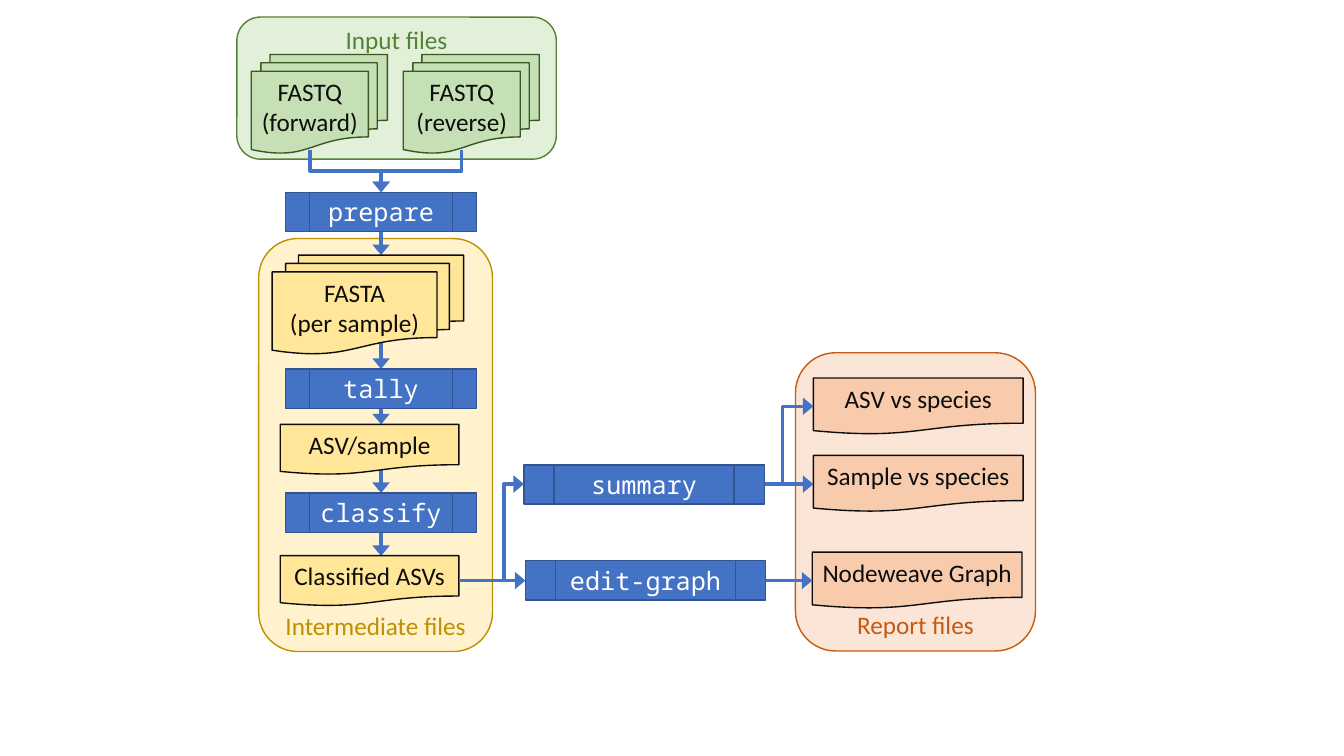
from lxml.etree import SubElement
from pptx import Presentation
from pptx.dml.color import RGBColor
from pptx.enum.shapes import MSO_CONNECTOR, MSO_SHAPE
from pptx.enum.text import MSO_ANCHOR, PP_ALIGN
from pptx.oxml.ns import qn
from pptx.util import Pt

COLORS = {
    "ink": "0D0D0D", "white": "FFFFFF",
    "step": "4472C4", "step_line": "325491",
    "input_panel": "E2F0D9", "input_text": "548235",
    "input_file": "C5E0B4", "input_line": "385723",
    "middle_panel": "FFF2CC", "middle_text": "BF9000", "middle_file": "FFE699",
    "report_panel": "FBE5D6", "report_text": "C55A11", "report_file": "F8CBAD",
}
BODY_FONT = "Calibri"
CODE_FONT = "Noto Sans Mono"
FLOW_X = 272.2
STEP_HEIGHT = 28
SUMMARY_Y = 345.8
GRAPH_Y = 414.7


def color(name):
    return RGBColor.from_string(COLORS[name])


def add_box(slide, kind, box, text, fill, line, ink, anchor=MSO_ANCHOR.TOP, font=BODY_FONT):
    shape = slide.shapes.add_shape(kind, *(Pt(length) for length in box))
    shape.shadow.inherit = False
    shape.fill.solid()
    shape.fill.fore_color.rgb = color(fill)
    shape.line.color.rgb = color(line)
    shape.line.width = Pt(1)
    text_frame = shape.text_frame
    text_frame.word_wrap = True
    text_frame.vertical_anchor = anchor
    text_frame.text = text
    for paragraph in text_frame.paragraphs:
        paragraph.alignment = PP_ALIGN.CENTER
        for run in paragraph.runs:
            run.font.name = font
            run.font.size = Pt(18)
            run.font.color.rgb = color(ink)
    return shape


def add_panel(slide, box, text, group, anchor):
    ink = f"{group}_text"
    panel = add_box(slide, MSO_SHAPE.ROUNDED_RECTANGLE, box, text,
                    f"{group}_panel", ink, ink, anchor)
    if anchor == MSO_ANCHOR.TOP:
        panel.text_frame.margin_top = 0
    else:
        panel.text_frame.margin_bottom = 0


def add_file(slide, box, text, group, line="ink"):
    add_box(slide, MSO_SHAPE.FLOWCHART_DOCUMENT, box, text, f"{group}_file", line, "ink")


def add_file_stack(slide, box, text, group, line="ink"):
    add_box(slide, MSO_SHAPE.FLOWCHART_MULTIDOCUMENT, box, text, f"{group}_file", line, "ink")


def add_step(slide, left, middle, width, text):
    box = (left, middle - STEP_HEIGHT / 2, width, STEP_HEIGHT)
    add_box(slide, MSO_SHAPE.FLOWCHART_PREDEFINED_PROCESS, box, text,
            "step", "step_line", "white", MSO_ANCHOR.MIDDLE, CODE_FONT)


def add_arrow(slide, start, end, kind=MSO_CONNECTOR.STRAIGHT):
    connector = slide.shapes.add_connector(kind, *(Pt(length) for length in (*start, *end)))
    connector.line.color.rgb = color("step")
    connector.line.width = Pt(2.5)
    properties = connector._element.spPr
    SubElement(properties.find(qn("a:ln")), qn("a:tailEnd"), type="triangle", w="lg")
    SubElement(properties, qn("a:effectLst"))
    return connector


def add_elbow(slide, start, end, bend=0.5):
    connector = add_arrow(slide, start, end, MSO_CONNECTOR.ELBOW)
    geometry = connector._element.spPr.find(qn("a:prstGeom"))
    values = geometry.find(qn("a:avLst"))
    if values is None:
        values = SubElement(geometry, qn("a:avLst"))
    SubElement(values, qn("a:gd"), name="adj1", fmla=f"val {round(bend * 100000)}")
    return connector


def add_drop_elbow(slide, start, end):
    center_x, center_y = (start[0] + end[0]) / 2, (start[1] + end[1]) / 2
    half_width, half_height = (end[1] - start[1]) / 2, abs(end[0] - start[0]) / 2
    goes_left = end[0] < start[0]
    side = half_width if goes_left else -half_width
    connector = add_elbow(slide, (center_x - side, center_y - half_height),
                          (center_x + side, center_y + half_height))
    degrees = 90 if goes_left else 270
    connector._element.spPr.find(qn("a:xfrm")).set("rot", str(degrees * 60000))


def main():
    presentation = Presentation()
    presentation.slide_width = Pt(960)
    presentation.slide_height = Pt(540)
    slide = presentation.slides.add_slide(presentation.slide_layouts[6])

    add_panel(slide, (184.8, 170.4, 167, 295), "Intermediate files", "middle", MSO_ANCHOR.BOTTOM)
    add_panel(slide, (568.2, 252, 171.4, 213), "Report files", "report", MSO_ANCHOR.BOTTOM)
    add_panel(slide, (169.2, 12.2, 228.2, 101.5), "Input files", "input", MSO_ANCHOR.TOP)

    for top, bottom in ((165, 182.2), (182.2, 263.5), (276.5, 303.1),
                        (319.7, 352.1), (371.5, 397.1)):
        add_arrow(slide, (FLOW_X, top), (FLOW_X, bottom))

    for left, direction in ((179.5, "forward"), (288, "reverse")):
        add_file_stack(slide, (left, 38.9, 97.2, 70.6), f"FASTQ\n({direction})",
                       "input", "input_line")
    for start_x in (329.8, 221.5):
        add_drop_elbow(slide, (start_x, 107.3), (FLOW_X, 137.3))

    add_file_stack(slide, (194.4, 182.2, 136.8, 70.6), "FASTA\n(per sample)", "middle")
    for top, text in ((303.1, "ASV/sample"), (396.9, "Classified ASVs")):
        add_file(slide, (200.2, top, 127.6, 36), text, "middle")
    for middle, text in ((151.3, "prepare"), (277.7, "tally"), (366.3, "classify")):
        add_step(slide, 203.8, middle, 136.6, text)

    add_step(slide, 374.3, SUMMARY_Y + 0.3, 171.6, "summary")
    add_step(slide, 375.3, GRAPH_Y - 0.2, 171.6, "edit-graph")
    for left, top, text in ((581, 270, "ASV vs species"),
                            (581, 325.3, "Sample vs species"),
                            (580.2, 394.4, "Nodeweave Graph")):
        add_file(slide, (left, top, 149.8, 40.3), text, "report")

    add_arrow(slide, (327.8, GRAPH_Y), (375.3, GRAPH_Y))
    add_arrow(slide, (546.1, SUMMARY_Y), (581, SUMMARY_Y))
    add_arrow(slide, (546.9, GRAPH_Y), (580.2, GRAPH_Y))
    add_elbow(slide, (546.1, SUMMARY_Y), (581, 290.2), 0.37)
    add_elbow(slide, (327.8, GRAPH_Y), (374.3, SUMMARY_Y), 0.69)

    presentation.save("out.pptx")


if __name__ == "__main__":
    main()
